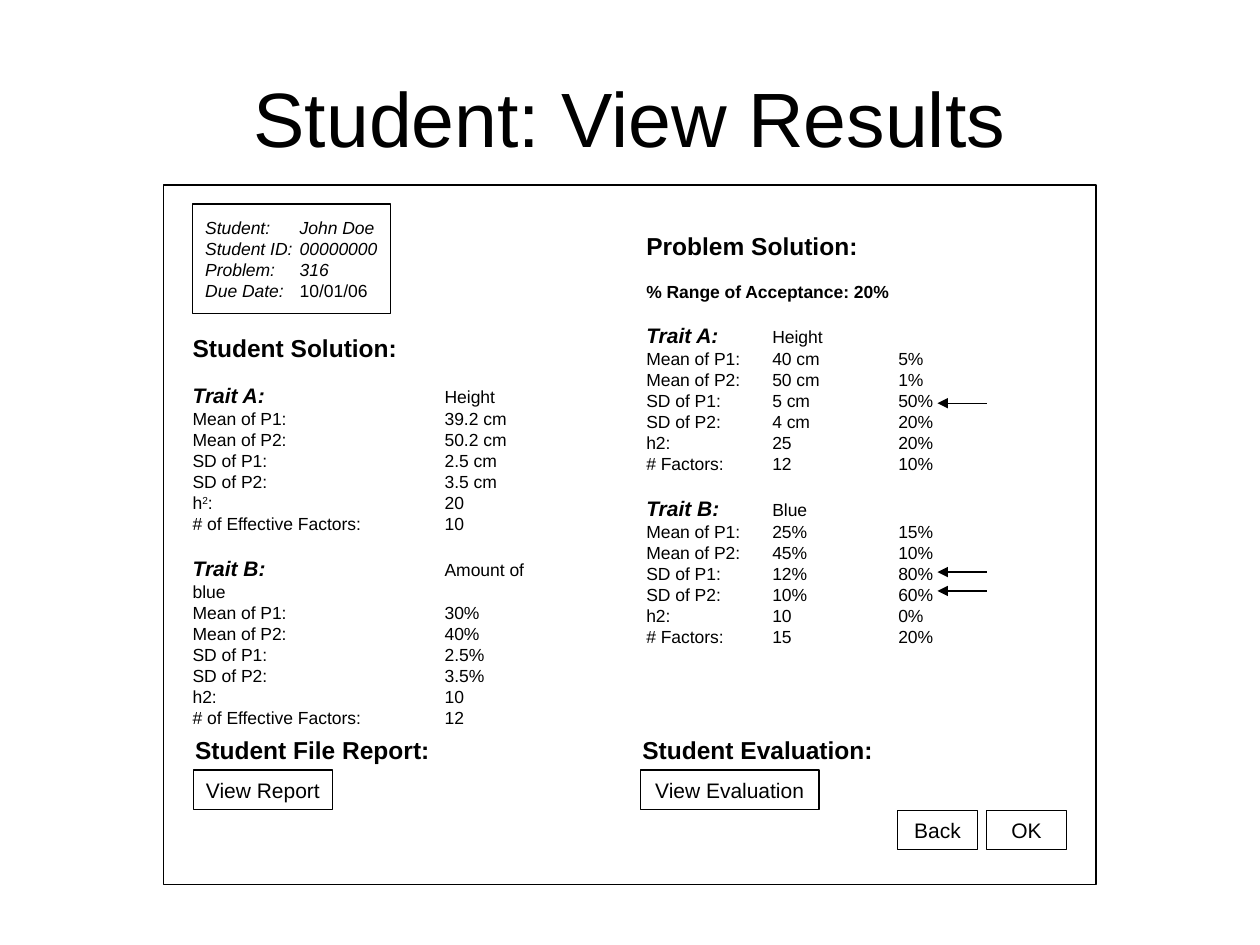
"""Build the slide that shows a student's results beside the problem solution."""
from pptx import Presentation
from pptx.dml.color import RGBColor
from pptx.enum.shapes import MSO_CONNECTOR as Connector, MSO_SHAPE as Shape
from pptx.enum.text import MSO_ANCHOR as Anchor, PP_ALIGN as Align
from pptx.oxml.ns import qn
from pptx.util import Pt
from lxml.etree import SubElement

BLACK = "000000"
BODY = {"size": Pt(10)}
ITALIC = {"size": Pt(10), "italic": True}
BOLD = {"size": Pt(10), "bold": True}
BUTTON = {"size": Pt(12)}
TRAIT = {"size": Pt(12), "bold": True, "italic": True}
HEADING = {"size": Pt(14), "bold": True}
TITLE = {"size": Pt(44)}
GAP = 12

presentation = Presentation()
presentation.slide_width, presentation.slide_height = Pt(720), Pt(540)
slide = presentation.slides.add_slide(presentation.slide_layouts[6])


def write(shape, lines, tabs=(), align=Align.LEFT, anchor=Anchor.TOP, wrap=True):
    """Fill a shape with lines, each a space before and a list of formatted runs."""
    frame = shape.text_frame
    frame.word_wrap, frame.vertical_anchor = wrap, anchor
    for index, (space, runs) in enumerate(lines):
        paragraph = frame.paragraphs[0] if index == 0 else frame.add_paragraph()
        paragraph.alignment, paragraph.space_before = align, Pt(space)
        if tabs:
            stops = SubElement(paragraph._p.get_or_add_pPr(), qn("a:tabLst"))
            for stop in tabs:
                SubElement(stops, qn("a:tab"), pos=str(Pt(stop)), algn="l")
        for text, style in runs:
            run = paragraph.add_run()
            run.text = text
            run.font.name = "Arial"
            run.font.color.rgb = RGBColor.from_string(BLACK)
            for name, value in style.items():
                setattr(run.font, name, value)


def add_box(left, top, width, height):
    """Add an unfilled rectangle with a thin black outline."""
    box = slide.shapes.add_shape(Shape.RECTANGLE, Pt(left), Pt(top), Pt(width), Pt(height))
    box.shadow.inherit = False
    box.fill.background()
    box.line.color.rgb = RGBColor.from_string(BLACK)
    box.line.width = Pt(0.75)
    return box


title = slide.shapes.add_textbox(Pt(36), Pt(21.6), Pt(648), Pt(90))
write(title, [(0, [("Student: View Results", TITLE)])], align=Align.CENTER, anchor=Anchor.MIDDLE)

add_box(93.6, 105.8, 532.8, 399.6)

details = [
    ("Student:", "John Doe", ITALIC),
    ("Student ID:", "00000000", ITALIC),
    ("Problem:", "316", ITALIC),
    ("Due Date:", "10/01/06", BODY),
]
details_box = add_box(110.2, 116.6, 113, 62.6)
detail_lines = [(0, [(label + "\t", ITALIC), (value, style)]) for label, value, style in details]
write(details_box, detail_lines, tabs=[54], anchor=Anchor.MIDDLE, wrap=False)

measures = ["Mean of P1:", "Mean of P2:", "SD of P1:", "SD of P2:"]
student_labels = measures + ["h2:", "# of Effective Factors:"]
solution_labels = measures + ["h2:", "# Factors:"]

panels = [
    (103, 186.5, 225, 221, [144], student_labels, [(0, [("Student Solution:", HEADING)])], [
        ("Trait A:", "Height", [["39.2 cm", "50.2 cm", "2.5 cm", "3.5 cm", "20", "10"]]),
        ("Trait B:", "Amount of blue", [["30%", "40%", "2.5%", "3.5%", "10", "12"]]),
    ]),
    (362.2, 128.2, 252.7, 245.5, [72, 144], solution_labels, [
        (0, [("Problem Solution:", HEADING)]),
        (GAP, [("% Range of Acceptance: 20%", BOLD)]),
    ], [
        ("Trait A:", "Height", [["40 cm", "50 cm", "5 cm", "4 cm", "25", "12"],
                                ["5%", "1%", "50%", "20%", "20%", "10%"]]),
        ("Trait B:", "Blue", [["25%", "45%", "12%", "10%", "10", "15"],
                              ["15%", "10%", "80%", "60%", "0%", "20%"]]),
    ]),
]
for left, top, width, height, tabs, labels, lines, traits in panels:
    for trait, name, columns in traits:
        lines.append((GAP, [(trait, TRAIT), ("\t" + name, BODY)]))
        for row in zip(labels, *columns):
            lines.append((0, [("\t".join(row), BODY)]))
    panel = slide.shapes.add_textbox(Pt(left), Pt(top), Pt(width), Pt(height))
    write(panel, lines, tabs)
    if labels is student_labels:
        heritability = panel.text_frame.paragraphs[6]
        letter = heritability.runs[0]
        tail = letter.text[2:]
        letter.text = "h"
        for text, baseline in (("2", "30000"), (tail, "0")):
            run = heritability.add_run()
            run.text = text
            run.font.name, run.font.size = "Arial", Pt(10)
            run.font.color.rgb = RGBColor.from_string(BLACK)
            run._r.get_or_add_rPr().set("baseline", baseline)

for y in (230.4, 326.9, 337.7):
    arrow = slide.shapes.add_connector(Connector.STRAIGHT, Pt(563.8), Pt(y), Pt(535.7), Pt(y))
    arrow.line.color.rgb = RGBColor.from_string(BLACK)
    arrow.line.width = Pt(0.75)
    SubElement(arrow.line._get_or_add_ln(), qn("a:tailEnd"), type="triangle")
    SubElement(arrow._element.spPr, qn("a:effectLst"))

for left, width, text in ((104.4, 148.3, "Student File Report:"), (360, 146.2, "Student Evaluation:")):
    heading = slide.shapes.add_textbox(Pt(left), Pt(416.2), Pt(width), Pt(24.5))
    write(heading, [(0, [(text, HEADING)])], wrap=False)

buttons = [
    (110.5, 440, 79.5, "View Report"),
    (366, 440, 102, "View Evaluation"),
    (513, 463, 45.5, "Back"),
    (563.8, 463, 45.5, "OK"),
]
for left, top, width, text in buttons:
    write(add_box(left, top, width, 22.5), [(0, [(text, BUTTON)])],
          align=Align.CENTER, anchor=Anchor.MIDDLE, wrap=False)

presentation.save("out.pptx")
